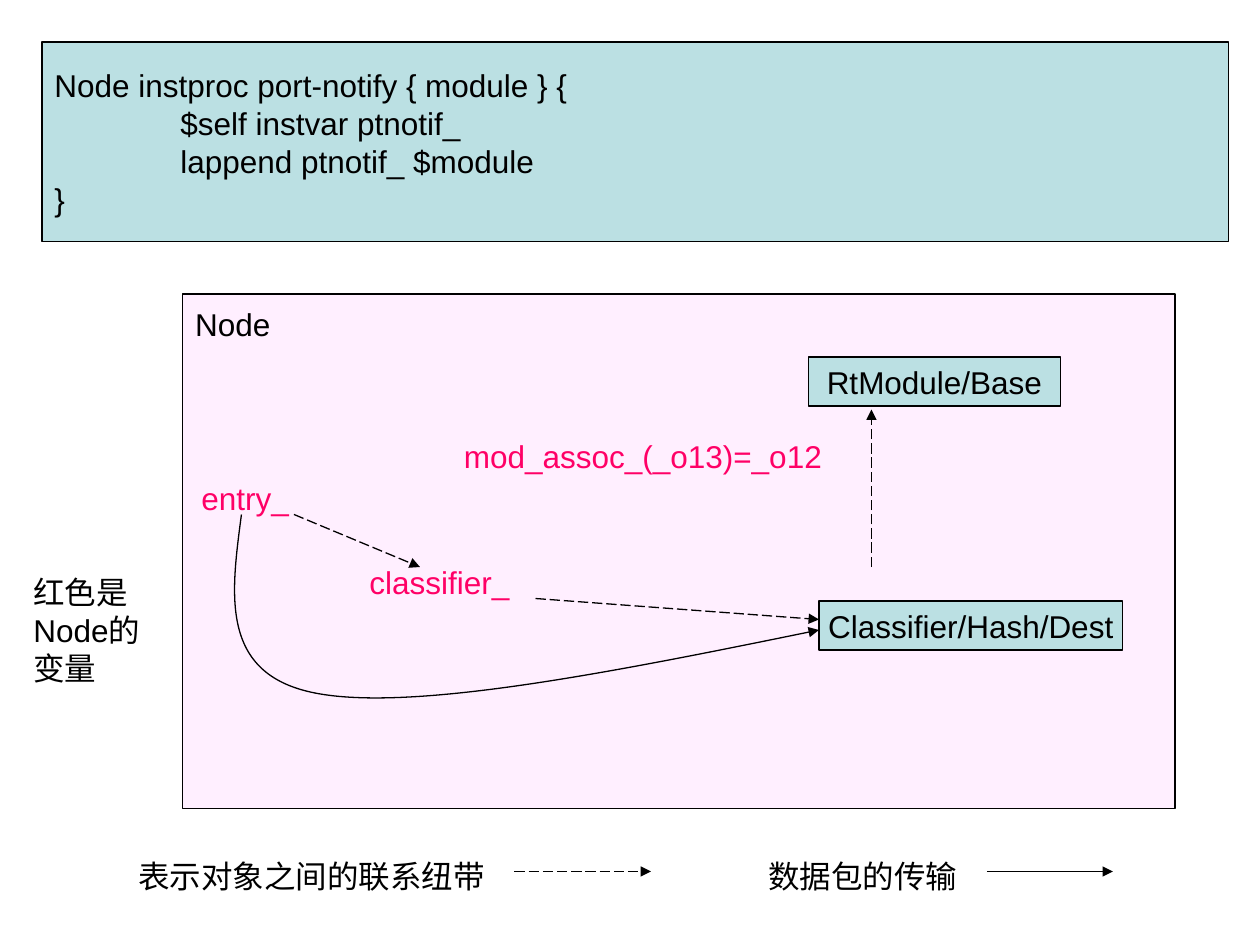
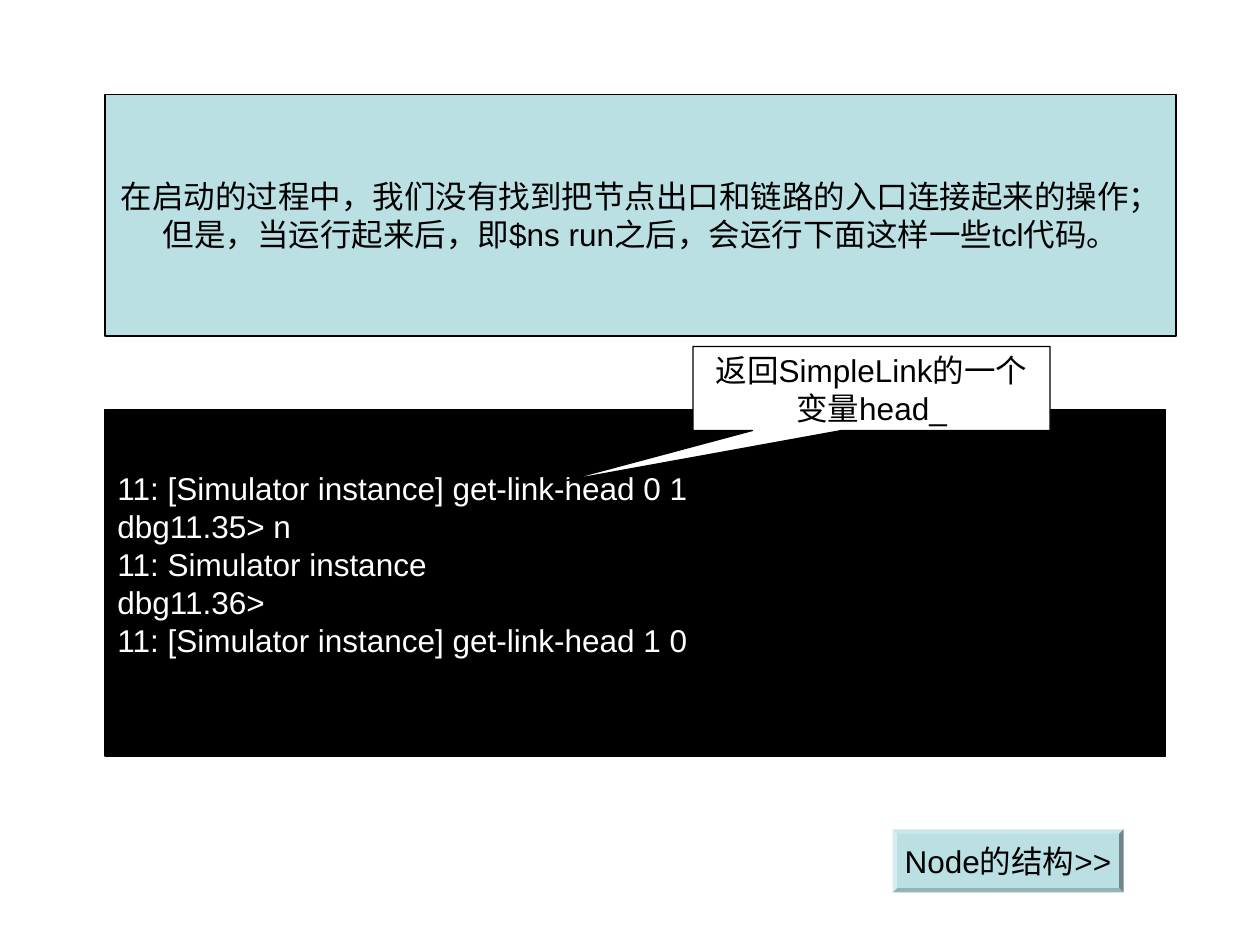
from lxml.etree import SubElement
from pptx import Presentation
from pptx.dml.color import RGBColor
from pptx.enum.dml import MSO_LINE
from pptx.enum.shapes import MSO_CONNECTOR, MSO_SHAPE
from pptx.enum.text import MSO_ANCHOR, PP_ALIGN
from pptx.oxml.ns import qn
from pptx.util import Inches, Pt

RECTANGLE, CALLOUT, BEVEL = MSO_SHAPE.RECTANGLE, MSO_SHAPE.RECTANGULAR_CALLOUT, MSO_SHAPE.BEVEL
STRAIGHT, LONG_DASH = MSO_CONNECTOR.STRAIGHT, MSO_LINE.LONG_DASH
LEFT, CENTER = PP_ALIGN.LEFT, PP_ALIGN.CENTER
TOP, MIDDLE = MSO_ANCHOR.TOP, MSO_ANCHOR.MIDDLE

COLORS = {
    "black": "000000",
    "white": "FFFFFF",
    "teal": "BBE0E3",
    "pink": "FFCCFF",
    "variable": "FF0066",
}
FONT_NAME = "Arial"
FONT_SIZE = 18
LINE_WIDTH = 0.75
GRID_STEP = Inches(1) // 12  # the slide is 120 columns by 90 rows
LABEL_ROWS = 4.8
CLASS_ROWS = 4.68


def grid(value):
    return round(value * GRID_STEP)


def rgb(name):
    return RGBColor.from_string(COLORS[name])


def write_text(shape, text, color="black", align=LEFT, anchor=MIDDLE, wrap=False,
               inset_top=0.05, inset_bottom=0.05):
    """Write one paragraph per line of text, with a tab stop after each inch."""
    frame = shape.text_frame
    frame.word_wrap = wrap
    frame.vertical_anchor = anchor
    frame.margin_left = frame.margin_right = Inches(0.1)
    frame.margin_top, frame.margin_bottom = Inches(inset_top), Inches(inset_bottom)
    frame.text = text
    for paragraph in frame.paragraphs:
        paragraph.alignment = align
        tab_list = SubElement(paragraph._p.get_or_add_pPr(), qn("a:tabLst"))
        for inch in range(1, 8):
            SubElement(tab_list, qn("a:tab"), pos=str(Inches(inch)), algn="l")
        paragraph.font.name = FONT_NAME
        paragraph.font.size = Pt(FONT_SIZE)
        paragraph.font.color.rgb = rgb(color)


class Deck:
    """Holds the presentation and the slide being built; lengths are grid steps."""

    def __init__(self):
        self.presentation = Presentation()
        self.presentation.slide_width = grid(120)
        self.presentation.slide_height = grid(90)
        self.slide = None

    def new_slide(self):
        self.slide = self.presentation.slides.add_slide(self.presentation.slide_layouts[6])

    def box(self, area, text, fill="teal", preset=RECTANGLE, outlined=True, opacity=100,
            adjustments=(), **text_format):
        shape = self.slide.shapes.add_shape(preset, *map(grid, area))
        shape.shadow.inherit = False
        for index, adjustment in enumerate(adjustments):
            shape.adjustments[index] = adjustment
        shape.fill.solid()
        shape.fill.fore_color.rgb = rgb(fill)
        if opacity < 100:
            color = shape._element.spPr.find(qn("a:solidFill"))[0]
            SubElement(color, qn("a:alpha"), val=str(opacity * 1000))
        if outlined:
            self.stroke(shape)
        else:
            shape.line.fill.background()
        write_text(shape, text, **text_format)

    def label(self, left, top, width, text, color="black", height=LABEL_ROWS):
        text_box = self.slide.shapes.add_textbox(*map(grid, (left, top, width, height)))
        write_text(text_box, text, color=color, anchor=TOP, wrap=True)

    def stroke(self, shape, dashed=False, arrow=False):
        shape.line.color.rgb = rgb("black")
        shape.line.width = Pt(LINE_WIDTH)
        if dashed:
            shape.line.dash_style = LONG_DASH
        if arrow:
            SubElement(shape._element.spPr.find(qn("a:ln")), qn("a:tailEnd"), type="triangle")

    def arrow(self, start, end, dashed=True):
        connector = self.slide.shapes.add_connector(STRAIGHT, *map(grid, (*start, *end)))
        self.stroke(connector, dashed, arrow=True)
        SubElement(connector._element.spPr, qn("a:effectLst"))

    def curved_arrow(self, start, *points):
        """Draw cubic curves; each takes two control points and an end point."""
        builder = self.slide.shapes.build_freeform(*map(grid, start))
        builder.add_line_segments([tuple(map(grid, point)) for point in points], close=False)
        shape = builder.convert_to_shape()
        path = next(shape._element.iter(qn("a:path")))
        segments = path.findall(qn("a:lnTo"))
        for index in range(0, len(segments), 3):
            curve = SubElement(path, qn("a:cubicBezTo"))
            for segment in segments[index:index + 3]:
                curve.append(segment[0])
                path.remove(segment)
        shape.fill.background()
        shape.shadow.inherit = False
        self.stroke(shape, arrow=True)


def build_node_slide(deck):
    deck.new_slide()
    deck.box((4, 4, 113, 19), "Node instproc port-notify { module } {\n"
             "\t$self instvar ptnotif_\n\tlappend ptnotif_ $module\n}")
    deck.box((17.4, 28, 94.5, 49), "Node", fill="pink", opacity=31, anchor=TOP, inset_top=0.09)
    for left, top, width, class_name in (
        (77, 34, 24, "RtModule/Base"),
        (78, 57.24, 28.92, "Classifier/Hash/Dest"),
    ):
        deck.box((left, top, width, CLASS_ROWS), class_name, align=CENTER)
    for left, top, width, variable in (
        (43, 41, 39, "mod_assoc_(_o13)=_o12"),
        (34, 53, 16, "classifier_"),
        (18, 45, 16, "entry_"),
    ):
        deck.label(left, top, width, variable, color="variable")
    deck.label(2, 54, 13, "红色是Node的变量", height=12)
    for start, end in (((51, 57), (78, 59)), ((83, 54), (83, 39)), ((28, 49), (40, 54))):
        deck.arrow(start, end)
    deck.curved_arrow((23, 49), (22, 56.6), (20.88, 64.2), (30, 66),
                      (39.12, 67.8), (58.5, 64), (78, 60))
    for left, width, meaning, line_start, line_end, dashed in (
        (12, 37, "表示对象之间的联系纽带", 49, 62, True),
        (72, 21, "数据包的传输", 94, 106, False),
    ):
        deck.label(left, 81, width, meaning)
        deck.arrow((line_start, 83), (line_end, 83), dashed)


def build_link_slide(deck):
    deck.new_slide()
    deck.box((10, 39, 101, 33), "11: [Simulator instance] get-link-head 0 1\ndbg11.35> n\n"
             "11: Simulator instance\ndbg11.36>\n11: [Simulator instance] get-link-head 1 0",
             fill="black", color="white", inset_bottom=0.35)
    deck.box((10, 9, 102, 23), "在启动的过程中，我们没有找到把节点出口和链路的入口连接起来的操作；"
             "但是，当运行起来后，即$ns run之后，会运行下面这样一些tcl代码。",
             align=CENTER, wrap=True)
    deck.box((66, 33, 34, 8), "返回SimpleLink的一个变量head_", fill="white", preset=CALLOUT,
             adjustments=(-0.86, 1.1), align=CENTER, wrap=True)
    deck.box((85, 79, 22, 6), "Node的结构>>", preset=BEVEL, adjustments=(0.07,),
             outlined=False, align=CENTER)


def main():
    deck = Deck()
    build_node_slide(deck)
    build_link_slide(deck)
    deck.presentation.save("out.pptx")


if __name__ == "__main__":
    main()
